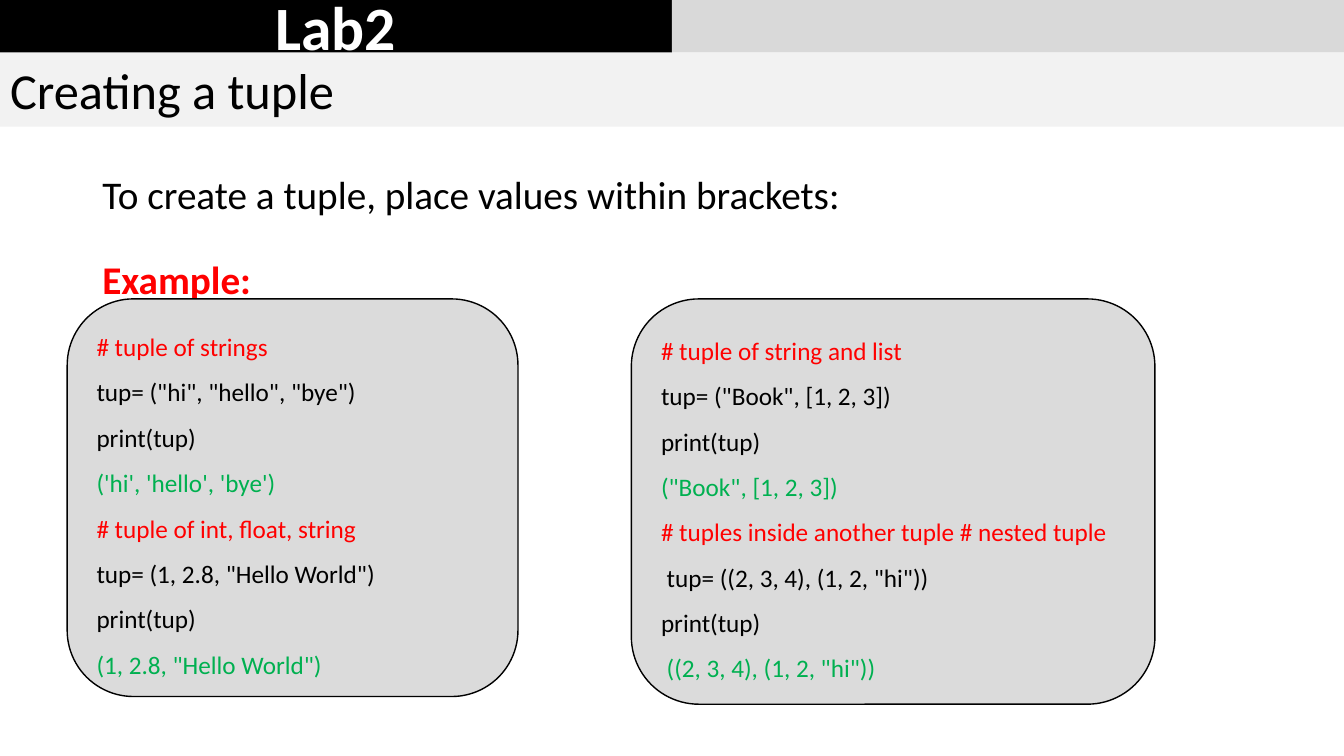
from pptx import Presentation
from pptx.dml.color import RGBColor
from pptx.enum.shapes import MSO_SHAPE as SHAPE
from pptx.enum.text import MSO_ANCHOR as ANCHOR, MSO_AUTO_SIZE as AUTO_SIZE, PP_ALIGN as ALIGN
from pptx.util import Pt

BLACK = RGBColor(0x00, 0x00, 0x00)
WHITE = RGBColor(0xFF, 0xFF, 0xFF)
RED = RGBColor(0xFF, 0x00, 0x00)
GREEN = RGBColor(0x00, 0xB0, 0x50)
BAND_GRAY = RGBColor(0xD9, 0xD9, 0xD9)
TITLE_GRAY = RGBColor(0xF2, 0xF2, 0xF2)
PANEL_GRAY = RGBColor(0xDB, 0xDB, 0xDB)
FONT = "Calibri"
WIDTH, HEIGHT = 960, 540
BAND_HEIGHT, TITLE_HEIGHT = 37.5, 53

STRINGS_AND_NUMBERS = [
    ("# tuple of strings", RED),
    ('tup= ("hi", "hello", "bye")', BLACK),
    ("print(tup)", BLACK),
    ("('hi', 'hello', 'bye')", GREEN),
    ("# tuple of int, float, string", RED),
    ('tup= (1, 2.8, "Hello World")', BLACK),
    ("print(tup)", BLACK),
    ('(1, 2.8, "Hello World")', GREEN),
]
LISTS_AND_NESTING = [
    ("# tuple of string and list", RED),
    ('tup= ("Book", [1, 2, 3])', BLACK),
    ("print(tup)", BLACK),
    ('("Book", [1, 2, 3])', GREEN),
    ("# tuples inside another tuple # nested tuple", RED),
    (' tup= ((2, 3, 4), (1, 2, "hi"))', BLACK),
    ("print(tup)", BLACK),
    (' ((2, 3, 4), (1, 2, "hi"))', GREEN),
]


def write(paragraph, text, size=18, color=BLACK, bold=False, align=ALIGN.LEFT,
          spacing=1.0, before=0):
    """Put formatted text into a paragraph."""
    run = paragraph.add_run()
    run.text = text
    run.font.name = FONT
    run.font.size = Pt(size)
    run.font.bold = bold
    run.font.color.rgb = color
    paragraph.alignment = align
    paragraph.line_spacing = spacing
    paragraph.space_before = Pt(before)


def write_lines(frame, lines, **style):
    """Write each (text, options) pair as its own paragraph."""
    for index, (text, options) in enumerate(lines):
        paragraph = frame.add_paragraph() if index else frame.paragraphs[0]
        write(paragraph, text, **style, **options)


def add_block(slide, kind, box, fill, outline=None):
    """Add a flat filled shape in the box."""
    block = slide.shapes.add_shape(kind, *map(Pt, box))
    block.shadow.inherit = False
    block.fill.solid()
    block.fill.fore_color.rgb = fill
    if outline is None:
        block.line.fill.background()
    else:
        block.line.color.rgb = outline
        block.line.width = Pt(1)
    block.text_frame.word_wrap = True
    block.text_frame.vertical_anchor = ANCHOR.MIDDLE
    return block


def add_header(slide, box):
    """Split the top band into the lab name and a gray half."""
    left, top, width, height = box
    half = width / 2
    lab = add_block(slide, SHAPE.RECTANGLE, (left, top, half, height), BLACK)
    write(lab.text_frame.paragraphs[0], "Lab2", size=44, color=WHITE, bold=True,
          align=ALIGN.CENTER)
    add_block(slide, SHAPE.RECTANGLE, (left + half, top, half, height), BAND_GRAY)


def add_title(slide, box):
    """Set the title placeholder as a light band."""
    title = slide.shapes.title
    title.left, title.top, title.width, title.height = map(Pt, box)
    title.fill.solid()
    title.fill.fore_color.rgb = TITLE_GRAY
    title.text_frame.auto_size = AUTO_SIZE.NONE
    title.text_frame.vertical_anchor = ANCHOR.MIDDLE
    write(title.text_frame.paragraphs[0], "Creating a tuple", size=36)


def add_intro(slide, box):
    """Add the explanation and the example heading."""
    intro = slide.shapes.add_textbox(*map(Pt, box)).text_frame
    intro.word_wrap = True
    lines = [
        ("To create a tuple, place values within brackets:", {}),
        ("Example:", {"color": RED, "bold": True}),
    ]
    write_lines(intro, lines, size=28, spacing=1.5, before=10)


def add_code_panel(slide, box, code):
    """Add a rounded panel with coloured code lines."""
    panel = add_block(slide, SHAPE.ROUNDED_RECTANGLE, box, PANEL_GRAY, BLACK)
    lines = [(text, {"color": color}) for text, color in code]
    write_lines(panel.text_frame, lines, spacing=1.5)


def build():
    """Build the tuple slide and save it."""
    deck = Presentation()
    deck.slide_width, deck.slide_height = Pt(WIDTH), Pt(HEIGHT)
    slide = deck.slides.add_slide(deck.slide_layouts[5])
    add_header(slide, (0, 0, WIDTH, BAND_HEIGHT))
    add_title(slide, (0, BAND_HEIGHT, WIDTH, TITLE_HEIGHT))
    add_intro(slide, (66, 101.5, 828, 364))
    add_code_panel(slide, (48, 213.5, 322, 284), STRINGS_AND_NUMBERS)
    add_code_panel(slide, (451, 213.5, 374, 289.5), LISTS_AND_NESTING)
    deck.save("out.pptx")


build()
